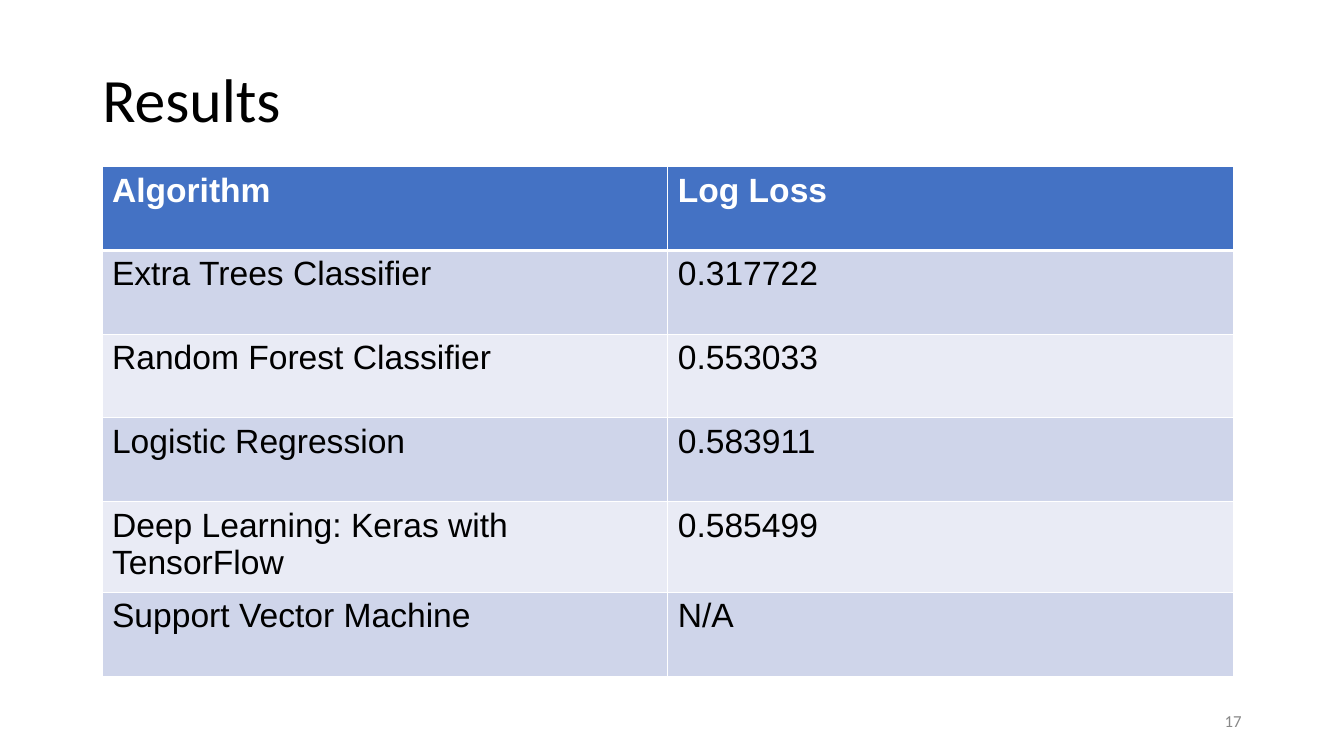
from dataclasses import dataclass

from lxml.etree import SubElement
from pptx import Presentation
from pptx.dml.color import RGBColor
from pptx.enum.text import MSO_ANCHOR, PP_ALIGN
from pptx.oxml.ns import qn
from pptx.util import Cm, Pt

WHITE = "FFFFFF"
BLACK = "000000"
HEADER_BLUE = "4472C4"
BANDS = ("CFD5EA", "E9EBF5")
COLUMN_WIDTH = 14.26
ROW_HEIGHT = 2.11


@dataclass(frozen=True)
class Result:
    algorithm: str
    log_loss: str


@dataclass(frozen=True)
class Label:
    text: str
    left: float
    top: float
    width: float
    height: float
    size: float
    color: str
    align: PP_ALIGN = PP_ALIGN.LEFT
    line_spacing: float = 1.0


HEADER = Result("Algorithm", "Log Loss")
RESULTS = (
    Result("Extra Trees Classifier", "0.317722"),
    Result("Random Forest Classifier", "0.553033"),
    Result("Logistic Regression", "0.583911"),
    Result("Deep Learning: Keras with TensorFlow", "0.585499"),
    Result("Support Vector Machine", "N/A"),
)
LABELS = (
    Label("Results", 2.33, 0.74, 29.21, 3.68, 44, BLACK, line_spacing=0.9),
    Label("17", 23.92, 17.65, 7.62, 1.01, 12, "888888", PP_ALIGN.RIGHT),
)


def rgb(color: str) -> RGBColor:
    return RGBColor.from_string(color)


def write_text(frame, text: str, *, font: str, size: float, color: str,
               bold: bool = False, align: PP_ALIGN = PP_ALIGN.LEFT,
               line_spacing: float = 1.0) -> None:
    para = frame.paragraphs[0]
    para.alignment = align
    para.line_spacing = line_spacing
    span = para.add_run()
    span.text = text
    span.font.name = font
    span.font.size = Pt(size)
    span.font.bold = bold
    span.font.color.rgb = rgb(color)


def draw_label(page, label: Label) -> None:
    box = page.shapes.add_textbox(Cm(label.left), Cm(label.top),
                                  Cm(label.width), Cm(label.height))
    frame = box.text_frame
    frame.word_wrap = True
    frame.vertical_anchor = MSO_ANCHOR.MIDDLE
    write_text(frame, label.text, font="Calibri", size=label.size, color=label.color,
               align=label.align, line_spacing=label.line_spacing)


def set_borders(cell, **widths: float) -> None:
    properties = cell._tc.get_or_add_tcPr()
    for side, width in widths.items():
        line = SubElement(properties, qn(f"a:ln{side}"), w=str(Pt(width)))
        fill = SubElement(line, qn("a:solidFill"))
        SubElement(fill, qn("a:srgbClr"), val=WHITE)


def draw_row(table, index: int, result: Result) -> None:
    is_header = index == 0
    table.rows[index].height = Cm(ROW_HEIGHT)
    for column, text in enumerate((result.algorithm, result.log_loss)):
        cell = table.cell(index, column)
        set_borders(cell, L=1, R=1, T=3 if index == 1 else 1, B=3 if is_header else 1)
        cell.fill.solid()
        cell.fill.fore_color.rgb = rgb(HEADER_BLUE if is_header else BANDS[(index - 1) % 2])
        write_text(cell.text_frame, text, font="Arial", size=24, bold=is_header,
                   color=WHITE if is_header else BLACK)


def draw_table(page, rows: tuple[Result, ...]) -> None:
    table = page.shapes.add_table(len(rows), 2, Cm(2.57), Cm(4.2), Cm(2 * COLUMN_WIDTH),
                                  Cm(len(rows) * ROW_HEIGHT)).table
    for column in table.columns:
        column.width = Cm(COLUMN_WIDTH)
    for index, result in enumerate(rows):
        draw_row(table, index, result)


def main() -> None:
    deck = Presentation()
    deck.slide_width, deck.slide_height = Cm(33.87), Cm(19.05)
    page = deck.slides.add_slide(deck.slide_layouts[6])
    for label in LABELS:
        draw_label(page, label)
    draw_table(page, (HEADER, *RESULTS))
    deck.save("out.pptx")


if __name__ == "__main__":
    main()
